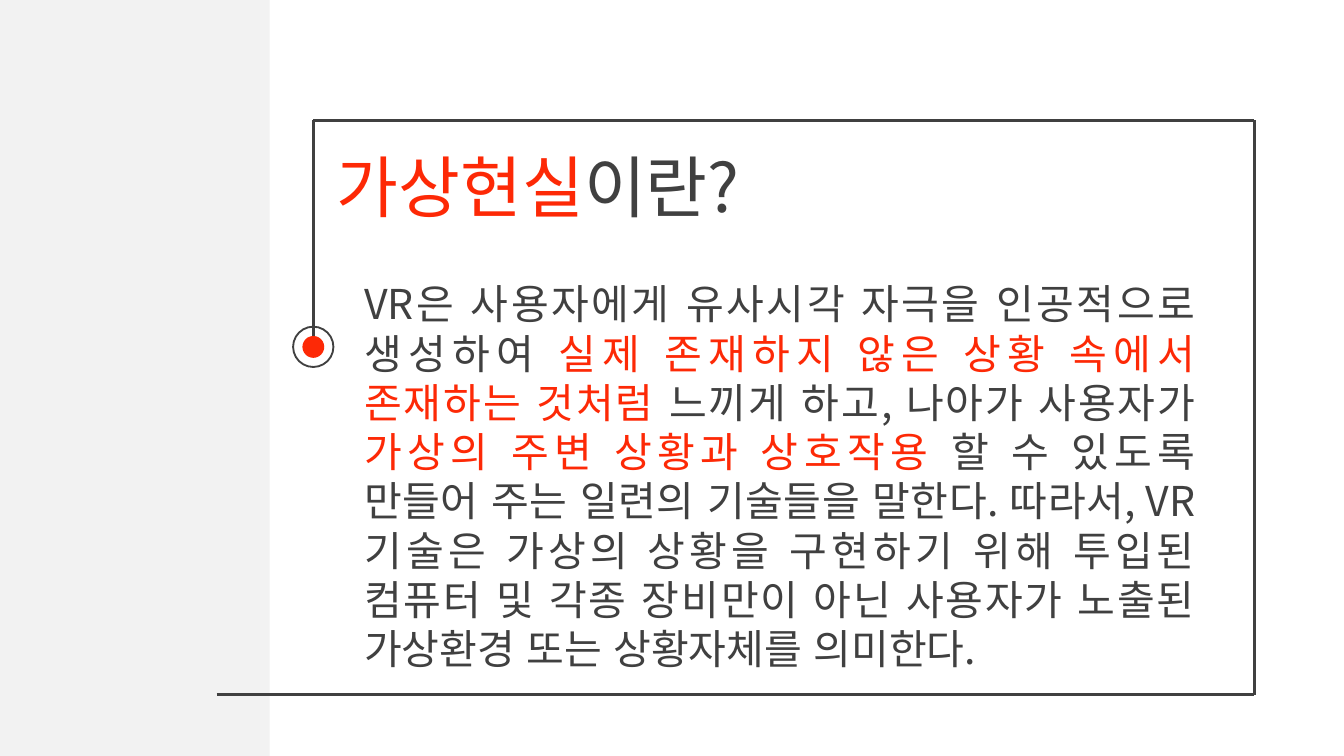
from lxml.etree import SubElement
from pptx import Presentation
from pptx.dml.color import RGBColor
from pptx.enum.lang import MSO_LANGUAGE_ID
from pptx.enum.shapes import MSO_CONNECTOR, MSO_SHAPE
from pptx.enum.text import MSO_ANCHOR, MSO_AUTO_SIZE, PP_ALIGN
from pptx.oxml.ns import qn
from pptx.util import Pt

EMU_PER_PX = 5715
SLIDE_WIDTH, SLIDE_HEIGHT = 1600, 900
FONT = "Noto Sans CJK KR"
RED = RGBColor(0xFD, 0x29, 0x06)
DARK = RGBColor(0x40, 0x40, 0x40)
PALE = RGBColor(0xF2, 0xF2, 0xF2)

FRAME_LEFT, FRAME_TOP, FRAME_RIGHT, FRAME_BOTTOM = 373, 143, 1493, 827
MARKER_X, MARKER_Y = 373, 413
TITLE = [("가상현실", RED), ("이란?", DARK)]
DEFINITION = [
    ("VR은 사용자에게 유사시각 자극을 인공적으로 생성하여 ", DARK),
    ("실제 존재하지 않은 상황 속에서 존재하는 것처럼 ", RED),
    ("느끼게 하고, 나아가 사용자가 ", DARK),
    ("가상의 주변 상황과 상호작용 ", RED),
    ("할 수 있도록 만들어 주는 일련의 기술들을 말한다. 따라서, "
     "VR 기술은 가상의 상황을 구현하기 위해 투입된 컴퓨터 및 각종 장비만이 "
     "아닌 사용자가 노출된 가상환경 또는 상황자체를 의미한다.", DARK),
]


def px(*lengths):
    return [length * EMU_PER_PX for length in lengths]


def place(shape, *box):
    shape.left, shape.top, shape.width, shape.height = px(*box)


def write_text(shape, parts, size, align, anchor=MSO_ANCHOR.TOP, line_spacing=None):
    frame = shape.text_frame
    frame.word_wrap = True
    frame.auto_size = MSO_AUTO_SIZE.NONE
    frame.vertical_anchor = anchor
    paragraph = frame.paragraphs[0]
    paragraph.alignment = align
    paragraph.line_spacing = line_spacing
    for text, color in parts:
        run = paragraph.add_run()
        run.text = text
        run.font.size = Pt(size)
        run.font.name = FONT
        run.font.color.rgb = color
        run.font.language_id = MSO_LANGUAGE_ID.KOREAN
        latin = run.font._element.find(qn("a:latin"))
        latin.addnext(SubElement(run.font._element, qn("a:ea"), typeface=FONT))


def add_shape(slide, kind, box, fill=None, line=None):
    shape = slide.shapes.add_shape(kind, *px(*box))
    shape.shadow.inherit = False
    if fill is None:
        shape.fill.background()
    else:
        shape.fill.solid()
        shape.fill.fore_color.rgb = fill
    if line is None:
        shape.line.fill.background()
    else:
        shape.line.color.rgb = line
        shape.line.width = Pt(1)


def add_circle(slide, diameter, **style):
    radius = diameter // 2
    box = (MARKER_X - radius, MARKER_Y - radius, diameter, diameter)
    add_shape(slide, MSO_SHAPE.OVAL, box, **style)


def add_line(slide, *ends):
    connector = slide.shapes.add_connector(MSO_CONNECTOR.STRAIGHT, *px(*ends))
    connector.line.color.rgb = DARK
    connector.line.width = Pt(1.5)
    SubElement(connector._element.spPr, qn("a:effectLst"))


def add_frame(slide):
    add_line(slide, FRAME_LEFT, FRAME_TOP, FRAME_RIGHT, FRAME_TOP)
    add_line(slide, FRAME_RIGHT, FRAME_TOP, FRAME_RIGHT, FRAME_BOTTOM)
    add_line(slide, 258, FRAME_BOTTOM, FRAME_RIGHT, FRAME_BOTTOM)
    add_line(slide, FRAME_LEFT, FRAME_TOP, FRAME_LEFT, 400)
    add_circle(slide, 26, fill=RED)
    add_circle(slide, 48, line=DARK)


def main():
    presentation = Presentation()
    presentation.slide_width, presentation.slide_height = px(SLIDE_WIDTH, SLIDE_HEIGHT)
    slide = presentation.slides.add_slide(presentation.slide_layouts[5])

    add_shape(slide, MSO_SHAPE.RECTANGLE, (0, 0, 321, SLIDE_HEIGHT), fill=PALE)
    add_frame(slide)

    title = slide.shapes.title
    place(title, 385, 171, 1210, 101)
    write_text(title, TITLE, size=36, align=PP_ALIGN.LEFT, anchor=MSO_ANCHOR.MIDDLE)

    definition = slide.shapes.add_textbox(*px(418, 324, 1021, 430))
    write_text(definition, DEFINITION, size=22, align=PP_ALIGN.JUSTIFY,
               line_spacing=Pt(26.4))

    presentation.save("out.pptx")


if __name__ == "__main__":
    main()
